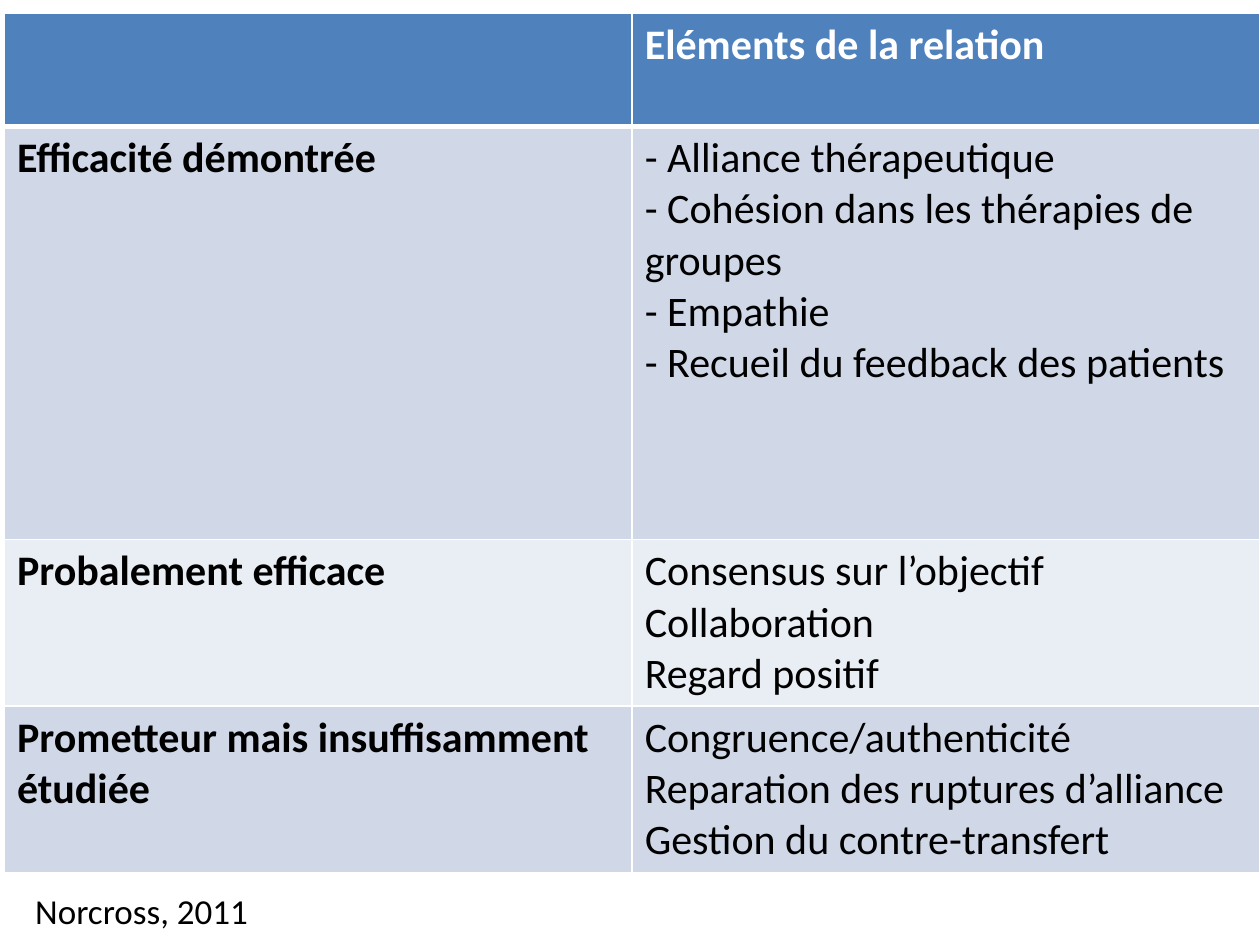
import pptx
import pptx.dml.color
import pptx.oxml.ns
import pptx.util
from lxml import etree

Cm = pptx.util.Cm
Pt = pptx.util.Pt

FONT = "Calibri"
WHITE, BLACK = "FFFFFF", "000000"
HEADER_FILL = "4F81BD"
BAND_FILLS = ("D0D8E8", "E9EDF4")
THIN, THICK = 1, 3

ROWS = [
    ("", "Eléments de la relation"),
    ("Efficacité démontrée",
     "- Alliance thérapeutique\n- Cohésion dans les thérapies de groupes\n"
     "- Empathie\n- Recueil du feedback des patients"),
    ("Probalement efficace",
     "Consensus sur l’objectif\nCollaboration\nRegard positif"),
    ("Prometteur mais insuffisamment étudiée",
     "Congruence/authenticité\nReparation des ruptures d’alliance\n"
     "Gestion du contre-transfert"),
]
ROW_HEIGHTS = (2.28, 8.33, 3.3, 3.3)


def color(value):
    return pptx.dml.color.RGBColor.from_string(value)


def format_text(text_frame, size, text_color, bold=False):
    for paragraph in text_frame.paragraphs:
        for run in paragraph.runs:
            run.font.name = FONT
            run.font.size = Pt(size)
            run.font.bold = bold
            run.font.color.rgb = color(text_color)


def set_borders(cell, widths):
    """Draw white borders; widths maps L, R, T and B, in that order, to points."""
    properties = cell._tc.get_or_add_tcPr()
    qn = pptx.oxml.ns.qn
    for side, width in widths.items():
        line = etree.SubElement(properties, qn(f"a:ln{side}"), w=str(Pt(width)))
        fill = etree.SubElement(line, qn("a:solidFill"))
        etree.SubElement(fill, qn("a:srgbClr"), val=WHITE)


def add_evidence_table(slide, left, top, width):
    shape = slide.shapes.add_table(
        len(ROWS), 2, Cm(left), Cm(top), Cm(width), Cm(sum(ROW_HEIGHTS)))
    table = shape.table
    for column in table.columns:
        column.width = Cm(width / 2)
    for row_index, texts in enumerate(ROWS):
        table.rows[row_index].height = Cm(ROW_HEIGHTS[row_index])
        is_header = row_index == 0
        for column_index, text in enumerate(texts):
            cell = table.cell(row_index, column_index)
            set_borders(cell, {"L": THIN, "R": THIN,
                               "T": THICK if row_index == 1 else THIN,
                               "B": THICK if is_header else THIN})
            cell.fill.solid()
            cell.fill.fore_color.rgb = color(
                HEADER_FILL if is_header else BAND_FILLS[(row_index - 1) % 2])
            cell.text_frame.text = text
            format_text(cell.text_frame, 24, WHITE if is_header else BLACK,
                        bold=is_header or column_index == 0)


def add_citation(slide, left, top, width, height):
    box = slide.shapes.add_textbox(Cm(left), Cm(top), Cm(width), Cm(height))
    box.text_frame.word_wrap = False
    box.text_frame.text = "Norcross, 2011"
    format_text(box.text_frame, 20, BLACK)


def main():
    presentation = pptx.Presentation()
    presentation.slide_width = Cm(25.4)
    presentation.slide_height = Cm(19.05)
    slide = presentation.slides.add_slide(presentation.slide_layouts[6])
    add_evidence_table(slide, left=0.09, top=0.27, width=25.31)
    add_citation(slide, left=0.46, top=17.8, width=4.85, height=1.11)
    presentation.save("out.pptx")


if __name__ == "__main__":
    main()
